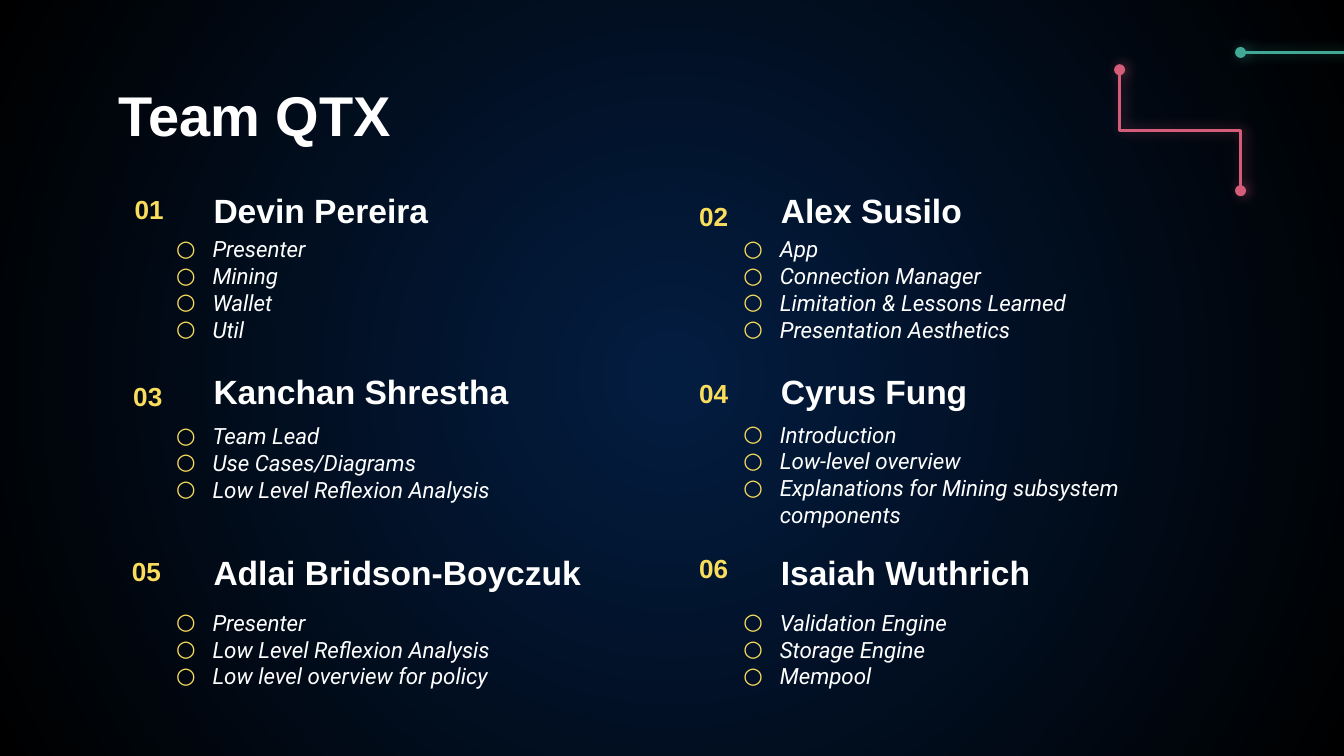
from lxml import etree
from pptx import Presentation
from pptx import util as u
from pptx.dml.color import RGBColor
from pptx.enum import shapes, text
from pptx.oxml import parse_xml
from pptx.oxml.ns import nsdecls, qn

HUES = {"ink": "FFFFFF", "gold": "FADD5C", "rose": "D55D7A", "teal": "40A895",
        "core": "031D41", "edge": "000000"}
FORMS = {
    "title": {"name": "Arial", "size": u.Pt(30), "bold": True},
    "name": {"name": "Arial", "size": u.Pt(18), "bold": True},
    "num": {"name": "Arial", "size": u.Pt(14), "bold": True},
    "role": {"name": "Roboto", "size": u.Pt(12), "italic": True},
}
PAD = 7.2


class Deck:
    """Holds the style and the current slide; lengths are in points."""

    def __init__(self, wide, high):
        self.file = Presentation()
        self.file.slide_width, self.file.slide_height = u.Pt(wide), u.Pt(high)
        self.page = self.file.slides.add_slide(self.file.slide_layouts[6])

    def glow(self, core, edge):
        """Circular gradient background."""
        self.page.element.cSld.insert(0, parse_xml(
            f'<p:bg {nsdecls("p", "a")}><p:bgPr><a:gradFill><a:gsLst>'
            f'<a:gs pos="0"><a:srgbClr val="{HUES[core]}"/></a:gs>'
            f'<a:gs pos="100000"><a:srgbClr val="{HUES[edge]}"/></a:gs></a:gsLst>'
            '<a:path path="circle"><a:fillToRect l="50000" t="50000" r="50000" b="50000"/>'
            '</a:path></a:gradFill><a:effectLst/></p:bgPr></p:bg>'))

    def text(self, box, lines, form, hue="ink", pad=PAD, mid=False, center=False, dots=False):
        """Text box with one paragraph a line."""
        frame = self.page.shapes.add_textbox(*map(u.Pt, box)).text_frame
        style = {"word_wrap": True, "margin_left": u.Pt(PAD), "margin_right": u.Pt(PAD),
                 "margin_top": u.Pt(pad), "margin_bottom": u.Pt(pad),
                 "vertical_anchor": text.MSO_ANCHOR.MIDDLE if mid else text.MSO_ANCHOR.TOP}
        for key, val in style.items():
            setattr(frame, key, val)
        for i, line in enumerate(lines):
            para = frame.add_paragraph() if i else frame.paragraphs[0]
            para.alignment = text.PP_ALIGN.CENTER if center else text.PP_ALIGN.LEFT
            if dots:
                self.dot(para)
            run = para.add_run()
            run.text = line
            for key, val in FORMS[form].items():
                setattr(run.font, key, val)
            run.font.color.rgb = RGBColor.from_string(HUES[hue])

    def dot(self, para):
        """Gold ring bullet with a hanging indent."""
        props = para._p.get_or_add_pPr()
        props.set("marL", str(u.Pt(22.5)))
        props.set("indent", str(u.Pt(-19.5)))
        tint = etree.SubElement(props, qn("a:buClr"))
        etree.SubElement(tint, qn("a:srgbClr"), val=HUES["gold"])
        etree.SubElement(props, qn("a:buFont"), typeface="Roboto")
        etree.SubElement(props, qn("a:buChar"), char="○")

    def wire(self, kind, ends, hue):
        """Glowing line with a round knob at each end."""
        wire = self.page.shapes.add_connector(kind, *map(u.Pt, ends))
        wire.line.width = u.Pt(1.5)
        wire.line.color.rgb = RGBColor.from_string(HUES[hue])
        for end in ("headEnd", "tailEnd"):
            etree.SubElement(wire.line._ln, qn("a:" + end), type="oval")
        props = wire._element.spPr
        props.append(parse_xml(
            f'<a:effectLst {nsdecls("a")}><a:outerShdw blurRad="{u.Pt(6.8)}" '
            f'dist="{u.Pt(1.5)}" dir="0" algn="bl" rotWithShape="0">'
            f'<a:srgbClr val="{HUES[hue]}"><a:alpha val="50000"/></a:srgbClr>'
            '</a:outerShdw></a:effectLst>'))
        if kind == shapes.MSO_CONNECTOR.ELBOW:
            # Turn the elbow so that it leaves downwards
            props.xfrm.set("rot", "16200000")
            props.xfrm.set("flipH", "1")


# Name, roles, place of the number, top of the roles
TEAM = [
    ("Devin Pereira", ["Presenter", "Mining", "Wallet", "Util"], (57.6, 100.1), 118.8),
    ("Alex Susilo", ["App", "Connection Manager", "Limitation & Lessons Learned",
                     "Presentation Aesthetics"], (360, 103.7), 118.8),
    ("Kanchan Shrestha", ["Team Lead", "Use Cases/Diagrams", "Low Level Reflexion Analysis"],
     (56.9, 200.2), 218.9),
    ("Cyrus Fung", ["Introduction", "Low-level overview",
                    "Explanations for Mining subsystem components"], (360, 198.7), 218.2),
    ("Adlai Bridson-Boyczuk", ["Presenter", "Low Level Reflexion Analysis",
                               "Low level overview for policy"], (56.2, 293.8), 319),
    ("Isaiah Wuthrich", ["Validation Engine", "Storage Engine", "Mempool"],
     (360, 292.3), 319),
]


def main():
    deck = Deck(720, 405)
    deck.glow("core", "edge")

    # Heading
    deck.text((56.2, 42.5, 607.7, 37.4), ["Team QTX"], "title", mid=True)

    # Members, two to a row
    for i, (name, roles, spot, top) in enumerate(TEAM):
        row, col = divmod(i, 2)
        left = 107.3 + col * 303.9
        deck.text((left, 99.4 + row * 97.2, 252.7, 25.9), [name], "name", mid=True)
        deck.text((left - 23, top, 275.8, 64.8), roles, "role", dots=True)
        deck.text((*spot, 44.6, 21.6), [f"{i + 1:02}"], "num", "gold", pad=3.6, center=True)

    # Circuit lines
    deck.wire(shapes.MSO_CONNECTOR.ELBOW, (599.8, 37.4, 664.6, 102.2), "rose")
    deck.wire(shapes.MSO_CONNECTOR.STRAIGHT, (664.6, 28.1, 772.6, 28.1), "teal")
    deck.file.save("out.pptx")


if __name__ == "__main__":
    main()
